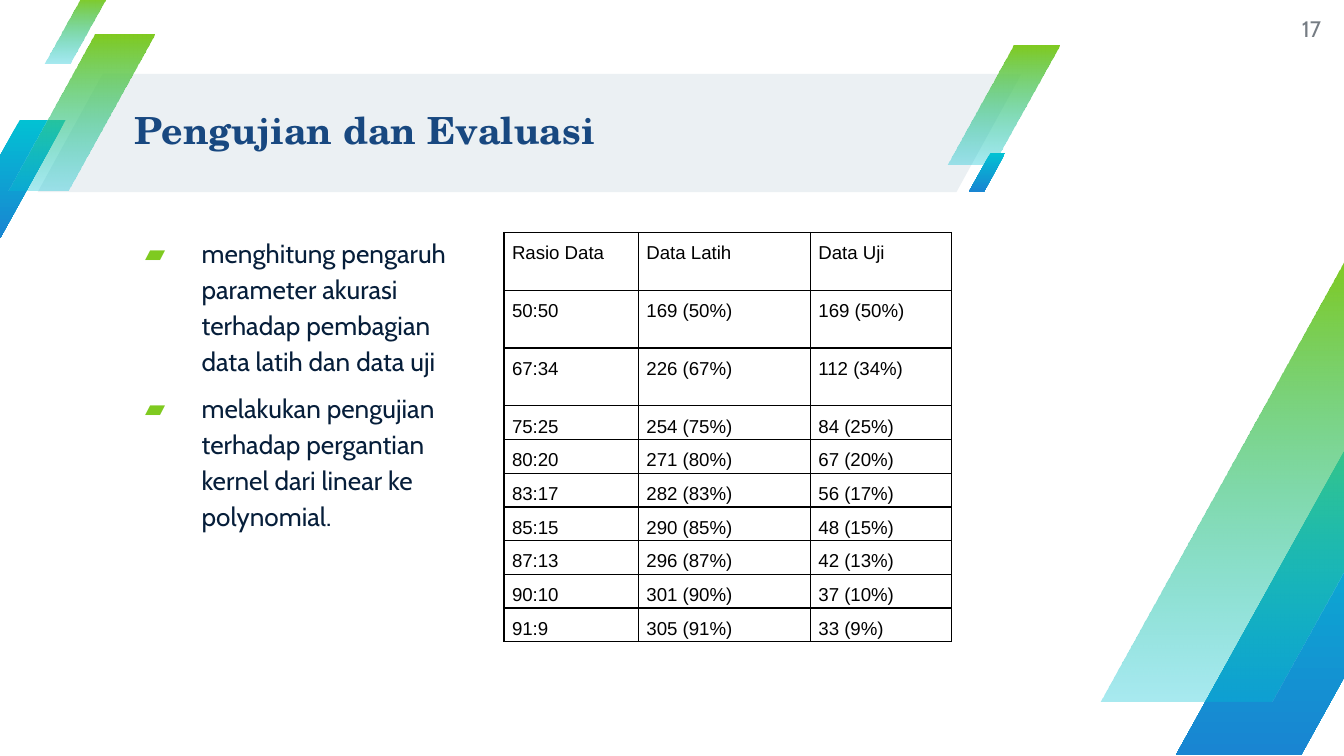
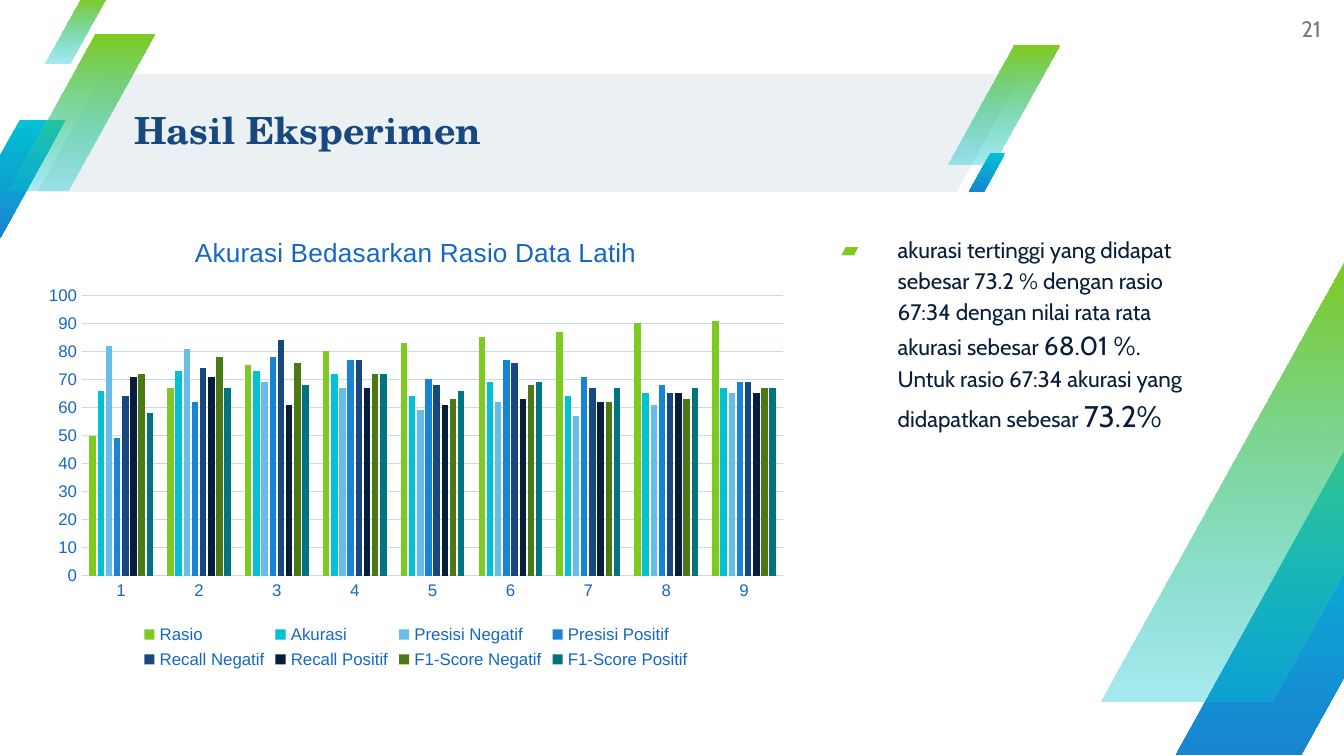
from lxml.etree import SubElement
from pptx import Presentation
from pptx.chart.data import CategoryChartData
from pptx.dml.color import RGBColor
from pptx.enum.chart import XL_CHART_TYPE, XL_LEGEND_POSITION, XL_TICK_MARK
from pptx.enum.shapes import MSO_SHAPE
from pptx.enum.text import MSO_ANCHOR, PP_ALIGN
from pptx.oxml import parse_xml
from pptx.oxml.ns import nsdecls, qn
from pptx.util import Inches, Pt

COLORS = {
    "band": "EBF0F3", "green": "7FCA20", "cyan": "02C1D3", "blue": "1985D2",
    "navy": "184880", "ink": "061E3A", "gray": "757C83", "black": "000000",
    "sky": "66BDE8", "olive": "4C7913", "teal": "01747F",
    "label": "1567C7", "grid": "C2DBF9",
}
BODY_FONT, TITLE_FONT, DATA_FONT = "Cabin", "TeX Gyre Schola", "Arial"
ACCENT_RATIO = 1.065  # height to width of every slanted accent
GREEN_FADE = ("green", "cyan", 34)
BLUE_FADE = ("cyan", "blue", 100)

RATIO_ROWS = [
    ("Rasio Data", "Data Latih", "Data Uji"),
    ("50:50", "169 (50%)", "169 (50%)"),
    ("67:34", "226 (67%)", "112 (34%)"),
    ("75:25", "254 (75%)", "84 (25%)"),
    ("80:20", "271 (80%)", "67 (20%)"),
    ("83:17", "282 (83%)", "56 (17%)"),
    ("85:15", "290 (85%)", "48 (15%)"),
    ("87:13", "296 (87%)", "42 (13%)"),
    ("90:10", "301 (90%)", "37 (10%)"),
    ("91:9", "305 (91%)", "33 (9%)"),
]
SCORES = [
    ("Rasio", "green", (50, 67, 75, 80, 83, 85, 87, 90, 91)),
    ("Akurasi", "cyan", (66, 73, 73, 72, 64, 69, 64, 65, 67)),
    ("Presisi Negatif", "sky", (82, 81, 69, 67, 59, 62, 57, 61, 65)),
    ("Presisi Positif", "blue", (49, 62, 78, 77, 70, 77, 71, 68, 69)),
    ("Recall Negatif", "navy", (64, 74, 84, 77, 68, 76, 67, 65, 69)),
    ("Recall Positif", "ink", (71, 71, 61, 67, 61, 63, 62, 65, 65)),
    ("F1-Score Negatif", "olive", (72, 78, 76, 72, 63, 68, 62, 63, 67)),
    ("F1-Score Positif", "teal", (58, 67, 68, 72, 66, 69, 67, 67, 67)),
]


def rgb(name):
    return RGBColor.from_string(COLORS[name])


def style_font(font, size, color, name=DATA_FONT, bold=False):
    font.size, font.name, font.bold = Pt(size), name, bold
    font.color.rgb = rgb(color)


def write_text(paragraph, text, size=12, color="ink", font=BODY_FONT, bold=False,
               align=PP_ALIGN.LEFT, line_spacing=None):
    paragraph.alignment = align
    if line_spacing:
        paragraph.line_spacing = line_spacing
    run = paragraph.add_run()
    run.text = text
    style_font(run.font, size, color, font, bold)


def add_frame(slide, box, anchor=MSO_ANCHOR.TOP):
    frame = slide.shapes.add_textbox(*map(Inches, box)).text_frame
    frame.word_wrap = True
    frame.vertical_anchor = anchor
    frame.margin_left = frame.margin_right = frame.margin_top = frame.margin_bottom = 0
    return frame


def add_parallelogram(slide, box, slant):
    shape = slide.shapes.add_shape(MSO_SHAPE.PARALLELOGRAM, *map(Inches, box))
    shape.adjustments[0] = slant
    shape.shadow.inherit = False
    shape.line.fill.background()
    return shape


def add_accent(slide, left, top, width, fade):
    """Slanted bar that fades downwards."""
    start, end, opacity = fade
    fill = add_parallelogram(slide, (left, top, width, width * ACCENT_RATIO), 0.59).fill
    fill.gradient()
    fill.gradient_angle = 270
    for stop, color, position in zip(fill.gradient_stops, (start, end), (0, 1)):
        stop.color.rgb = rgb(color)
        stop.position = position
    if opacity < 100:
        last_color = fill._fill._gradFill.findall(".//" + qn("a:srgbClr"))[-1]
        SubElement(last_color, qn("a:alpha")).set("val", str(opacity * 1000))


def draw_header(slide, box, title):
    left, top, width, height = box
    band = add_parallelogram(slide, box, 0.55)
    band.fill.solid()
    band.fill.fore_color.rgb = rgb("band")
    # Accents at both ends of the band
    right = left + width
    for x, y, size, fade in (
        (left - 0.62, 0.34, 0.83, BLUE_FADE),
        (right - 0.55, -0.21, 0.83, GREEN_FADE),
        (left - 0.22, -0.29, 1.09, GREEN_FADE),
        (left + 0.05, -0.57, 0.46, GREEN_FADE),
        (right - 0.39, 0.59, 0.27, BLUE_FADE),
    ):
        add_accent(slide, x, top + y, size, fade)
    frame = add_frame(slide, (left + 0.72, top - 0.01, width - 0.73, height + 0.01),
                      MSO_ANCHOR.MIDDLE)
    write_text(frame.paragraphs[0], title, size=20, color="navy", font=TITLE_FONT,
               bold=True, line_spacing=0.9)


def draw_corner(slide, left, top):
    add_accent(slide, left + 0.56, top + 1.28, 2.27, BLUE_FADE)
    add_accent(slide, left, top, 3.1, GREEN_FADE)


def draw_page_number(slide, box, number):
    frame = add_frame(slide, box, MSO_ANCHOR.MIDDLE)
    write_text(frame.paragraphs[0], str(number), color="gray", align=PP_ALIGN.RIGHT)


def draw_bullets(slide, box, items):
    """Each item is a list of (text, size) runs."""
    frame = add_frame(slide, box)
    for index, runs in enumerate(items):
        paragraph = frame.add_paragraph() if index else frame.paragraphs[0]
        properties = paragraph._p.get_or_add_pPr()
        properties.set("marL", str(Inches(0.5)))
        properties.set("indent", str(Inches(-0.42)))
        bullet_color = SubElement(properties, qn("a:buClr"))
        SubElement(bullet_color, qn("a:srgbClr")).set("val", COLORS["green"])
        SubElement(properties, qn("a:buFont")).set("typeface", BODY_FONT)
        SubElement(properties, qn("a:buChar")).set("char", "▰")
        paragraph.space_before = Pt(6 if index else 0)
        for text, size in runs:
            write_text(paragraph, text, size=size, line_spacing=1.15)


def add_borders(cell):
    properties = cell._tc.get_or_add_tcPr()
    for index, side in enumerate(("lnL", "lnR", "lnT", "lnB")):
        properties.insert(index, parse_xml(
            f'<a:{side} {nsdecls("a")} w="{Pt(0.75)}"><a:solidFill>'
            f'<a:srgbClr val="{COLORS["black"]}"/></a:solidFill></a:{side}>'))


def draw_ratio_table(slide, box):
    shape = slide.shapes.add_table(len(RATIO_ROWS), 3, *map(Inches, box))
    table = shape.table
    table.first_row = table.horz_banding = False
    for column, width in zip(table.columns, (1, 1.28, 1.05)):
        column.width = Inches(width)
    for row_index, values in enumerate(RATIO_ROWS):
        table.rows[row_index].height = Inches(0.43 if row_index < 3 else 0.23)
        for column_index, value in enumerate(values):
            cell = table.cell(row_index, column_index)
            cell.margin_left = cell.margin_right = Inches(0.06)
            cell.margin_top = cell.margin_bottom = 0
            cell.fill.background()
            add_borders(cell)
            align = PP_ALIGN.LEFT if value == "50:50" else PP_ALIGN.JUSTIFY
            write_text(cell.text_frame.paragraphs[0], value, size=10, color="black",
                       font=DATA_FONT, align=align, line_spacing=1.5)
    # Row heights reset the frame, so its height is given last
    shape.height = Inches(box[3])


def draw_score_chart(slide, box):
    data = CategoryChartData()
    data.categories = [str(number) for number in range(1, 10)]
    for name, _, values in SCORES:
        data.add_series(name, values)
    chart = slide.shapes.add_chart(
        XL_CHART_TYPE.COLUMN_CLUSTERED, *map(Inches, box), data).chart
    style_font(chart.font, 10, "ink")
    # Title and legend
    chart.has_title = True
    write_text(chart.chart_title.text_frame.paragraphs[0],
               "Akurasi Bedasarkan Rasio Data Latih", size=14, color="label",
               font=DATA_FONT, align=PP_ALIGN.CENTER)
    chart.chart_title.include_in_layout = False
    chart.has_legend = True
    chart.legend.position = XL_LEGEND_POSITION.BOTTOM
    chart.legend.include_in_layout = False
    style_font(chart.legend.font, 9, "label")
    # Axes
    for axis in (chart.category_axis, chart.value_axis):
        axis.major_tick_mark = axis.minor_tick_mark = XL_TICK_MARK.NONE
        style_font(axis.tick_labels.font, 9, "label")
    chart.value_axis.format.line.fill.background()
    chart.value_axis.has_major_gridlines = True
    for line in (chart.category_axis.format.line,
                 chart.value_axis.major_gridlines.format.line):
        line.color.rgb = rgb("grid")
        line.width = Pt(0.75)
    # Columns
    plot = chart.plots[0]
    plot.gap_width, plot.overlap, plot.vary_by_categories = 219, -27, False
    for series, (_, color, _) in zip(plot.series, SCORES):
        series.format.fill.solid()
        series.format.fill.fore_color.rgb = rgb(color)


def add_base_slide(presentation, title, number):
    slide = presentation.slides.add_slide(presentation.slide_layouts[6])
    draw_header(slide, (0.28, 0.55, 7.32, 0.88), title)
    draw_corner(slide, 8.19, 1.92)
    draw_page_number(slide, (9.36, 0, 0.47, 0.43), number)
    return slide


def build_testing_slide(presentation):
    slide = add_base_slide(presentation, "Pengujian dan Evaluasi", 17)
    draw_bullets(slide, (1, 1.73, 2.49, 3.28), [
        [("menghitung pengaruh parameter akurasi terhadap pembagian data latih "
          "dan data uji", 14)],
        [("melakukan pengujian terhadap pergantian kernel dari linear ke "
          "polynomial.", 14)],
    ])
    draw_ratio_table(slide, (3.75, 1.73, 3.33, 3.03))


def build_result_slide(presentation):
    slide = add_base_slide(presentation, "Hasil Eksperimen", 21)
    draw_bullets(slide, (6.18, 1.73, 2.67, 3.28), [[
        ("akurasi tertinggi yang didapat sebesar 73.2 % dengan rasio 67:34 "
         "dengan nilai rata rata akurasi sebesar ", 12),
        ("68.01 %. ", 14),
        ("Untuk rasio 67:34 akurasi yang didapatkan sebesar ", 12),
        ("73.2%", 16),
    ]])
    draw_score_chart(slide, (0.25, 1.6, 5.69, 3.42))


def main():
    presentation = Presentation()
    presentation.slide_width = Inches(10)
    presentation.slide_height = presentation.slide_width * 9 // 16
    build_testing_slide(presentation)
    build_result_slide(presentation)
    presentation.save("out.pptx")


if __name__ == "__main__":
    main()
